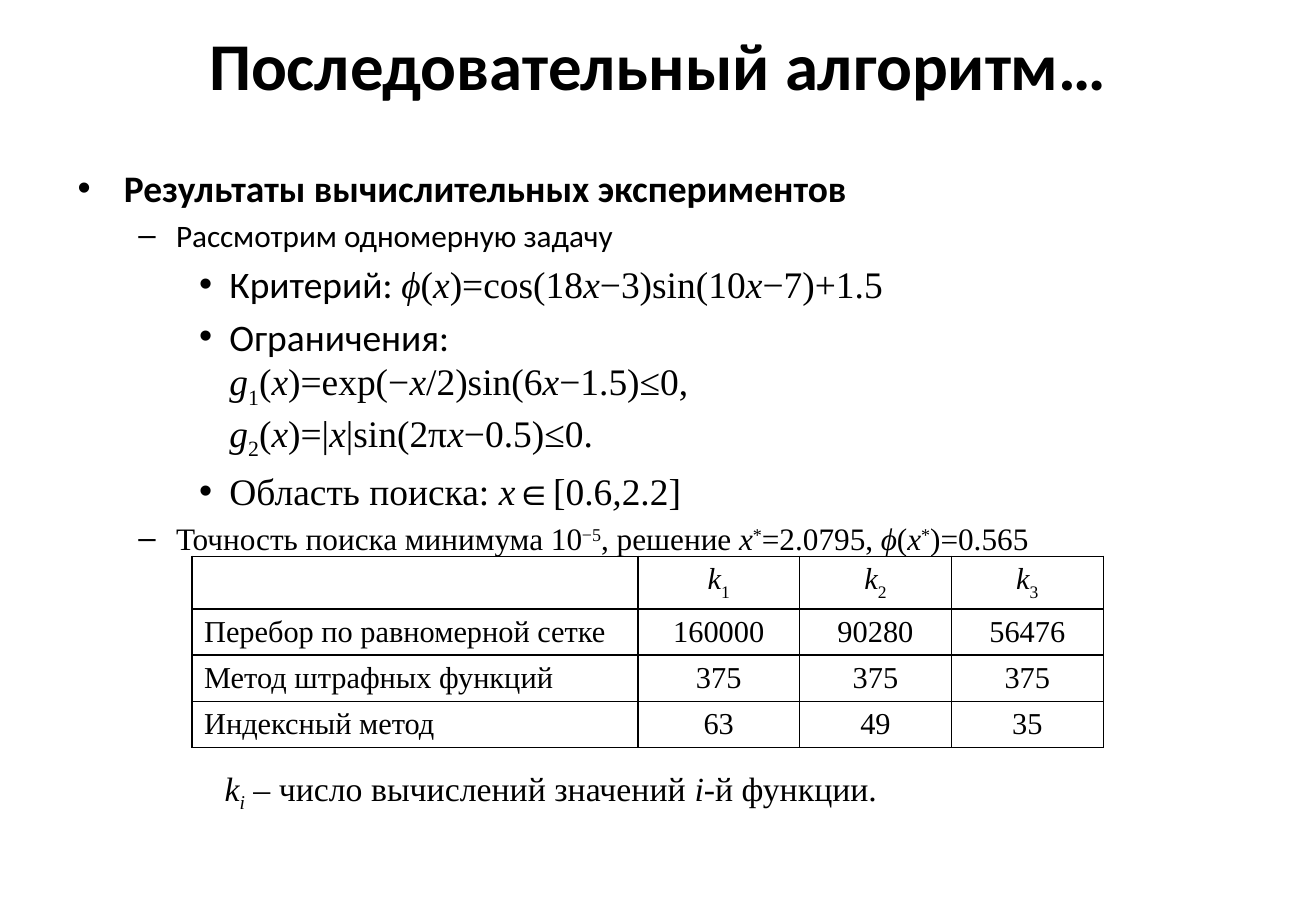
from lxml.etree import SubElement
from pptx import Presentation
from pptx.dml.color import RGBColor as Rgb
from pptx.enum.text import MSO_ANCHOR as Anchor, PP_ALIGN as Align
from pptx.oxml.ns import qn
from pptx.util import Inches, Pt

COLORS = {"text": "000000", "border": "000000"}
SANS, SERIF = "Calibri", "Times New Roman"
LEVELS = [("•", 0.38, 0.38), ("–", 0.81, 0.31), ("•", 1.25, 0.25)]


def write(paragraph, text, font=SERIF, size=18, bold=False, sub=-25):
    """~ toggles italic, _ toggles subscript, ^ toggles superscript."""
    marks = {"~": False, "_": False, "^": False}
    pieces = [["", dict(marks)]]
    for char in text:
        if char in marks:
            marks[char] = not marks[char]
            pieces.append(["", dict(marks)])
        elif char == "\n":
            pieces += [["\n", None], ["", dict(marks)]]
        else:
            pieces[-1][0] += char
    for words, style in pieces:
        if words == "\n":
            paragraph.add_line_break()
        elif words:
            run = paragraph.add_run()
            run.text = words
            run.font.name, run.font.size = font, Pt(size)
            run.font.bold, run.font.italic = bold, style["~"]
            run.font.color.rgb = Rgb.from_string(COLORS["text"])
            shift = sub if style["_"] else 30 if style["^"] else 0
            if shift:
                run.font._element.set("baseline", str(shift * 1000))


class AlgorithmSlide:
    def __init__(self, deck):
        self.slide = deck.slides.add_slide(deck.slide_layouts[6])

    def frame(self, left, top, width, height, anchor=Anchor.TOP):
        box = self.slide.shapes.add_textbox(
            Inches(left), Inches(top), Inches(width), Inches(height))
        box.text_frame.word_wrap = True
        box.text_frame.vertical_anchor = anchor
        return box.text_frame

    def line(self, place, text, align=Align.LEFT, anchor=Anchor.TOP, **style):
        paragraph = self.frame(*place, anchor).paragraphs[0]
        paragraph.alignment = align
        write(paragraph, text, **style)

    def outline(self, place, items):
        frame = self.frame(*place)
        for index, (level, size, parts) in enumerate(items):
            paragraph = frame.add_paragraph() if index else frame.paragraphs[0]
            paragraph.level = level
            paragraph.space_before = Pt(round(size * 0.2, 1) if index else 0)
            bullet, margin, hanging = LEVELS[level]
            props = paragraph._p.get_or_add_pPr()
            props.set("marL", str(Inches(margin)))
            props.set("indent", str(-Inches(hanging)))
            SubElement(props, qn("a:buFont"), typeface="Arial")
            SubElement(props, qn("a:buChar"), char=bullet)
            for text, style in parts:
                write(paragraph, text, size=size, **style)

    def table(self, left, top, widths, heights, rows):
        grid = self.slide.shapes.add_table(
            len(rows), len(widths), Inches(left), Inches(top),
            Inches(sum(widths)), Inches(sum(heights))).table
        grid.first_row = grid.horz_banding = False
        for column, width in zip(grid.columns, widths):
            column.width = Inches(width)
        for r, (height, row) in enumerate(zip(heights, rows)):
            grid.rows[r].height = Inches(height)
            for c, text in enumerate(row):
                self.cell(grid.cell(r, c), text, Align.CENTER if c else Align.LEFT)

    def cell(self, cell, text, align):
        cell.margin_top = cell.margin_bottom = Inches(0.04)
        cell.vertical_anchor = Anchor.MIDDLE
        cell.text_frame.paragraphs[0].alignment = align
        write(cell.text_frame.paragraphs[0], text, sub=-30)
        props = cell._tc.get_or_add_tcPr()
        for side in ("lnL", "lnR", "lnT", "lnB"):
            border = SubElement(props, qn(f"a:{side}"), w=str(Pt(1)))
            fill = SubElement(border, qn("a:solidFill"))
            SubElement(fill, qn("a:srgbClr"), val=COLORS["border"])
        cell.fill.background()


def main():
    deck = Presentation()
    deck.slide_width, deck.slide_height = Inches(10.83), Inches(7.5)
    page = AlgorithmSlide(deck)
    sans = {"font": SANS}

    page.line((0.45, 0.22, 9.93, 0.61), "Последовательный алгоритм…",
              Align.CENTER, Anchor.MIDDLE, font=SANS, size=39.6, bold=True)
    page.outline((0.54, 1.31, 9.71, 3.19), [
        (0, 22.2, [("Результаты вычислительных экспериментов",
                    {"font": SANS, "bold": True})]),
        (1, 18.5, [("Рассмотрим одномерную задачу", sans)]),
        (2, 22.2, [("Критерий: ", sans),
                   ("~ϕ~(~x~)=cos(18~x~−3)sin(10~x~−7)+1.5", {})]),
        (2, 22.2, [("Ограничения:", sans),
                   ("\n~g~_1_(~x~)=exp(−~x~/2)sin(6~x~−1.5)≤0,"
                    "\n~g~_2_(~x~)=|~x~|sin(2π~x~−0.5)≤0.", {})]),
        (2, 22.2, [("Область поиска: ~x~∈[0.6~,~2.2]", {})]),
        (1, 18.5, [("Точность поиска минимума 10^−5^, решение "
                    "~x~^*^=2.0795, ~ϕ~(~x~^*^)=0.565", {})]),
    ])
    page.table(1.58, 4.58, [3.67, 1.33, 1.25, 1.25], [0.43, 0.38, 0.38, 0.38], [
        ["", "~k~_1_", "~k~_2_", "~k~_3_"],
        ["Перебор по равномерной сетке", "160000", "90280", "56476"],
        ["Метод штрафных функций", "375", "375", "375"],
        ["Индексный метод", "63", "49", "35"],
    ])
    page.line((1.75, 6.27, 5.7, 0.74),
              "~k_i_~ – число вычислений значений ~i~-й функции.", size=20)
    deck.save("out.pptx")


if __name__ == "__main__":
    main()
